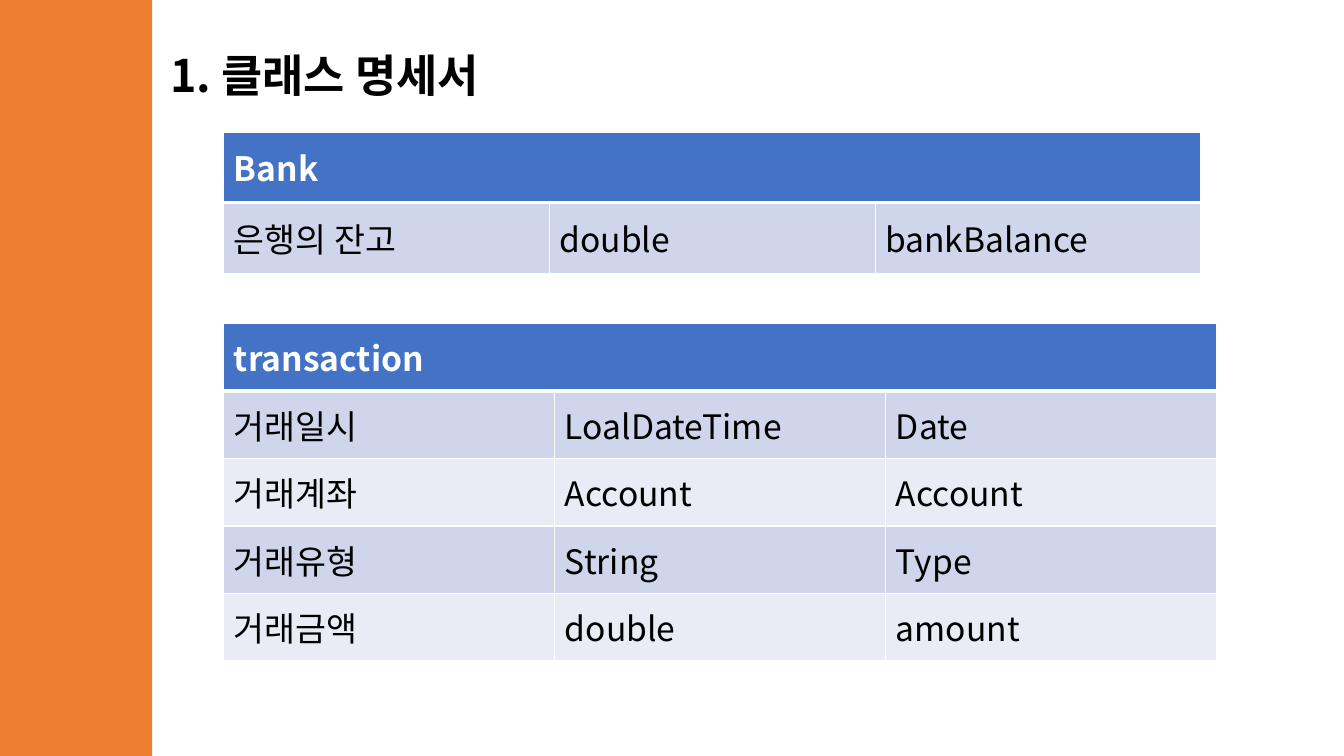
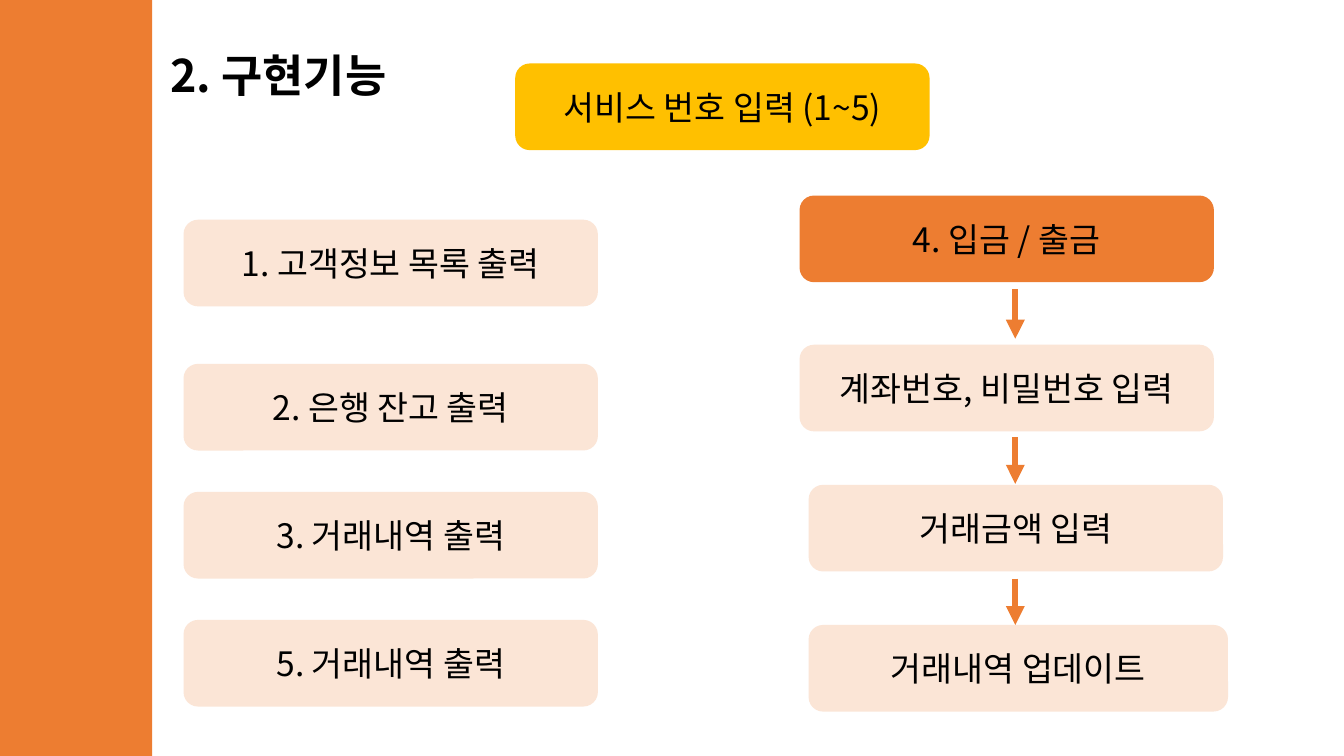
import pptx
import pptx.dml.color
import pptx.enum.shapes
import pptx.enum.text
import pptx.oxml
import pptx.oxml.ns
import pptx.util
from dataclasses import dataclass

Inches = pptx.util.Inches
Pt = pptx.util.Pt
SHAPE = pptx.enum.shapes.MSO_SHAPE


@dataclass(frozen=True)
class Theme:
    font: str = "Noto Sans CJK KR"
    title_size: int = 32
    body_size: int = 24
    black: str = "000000"
    white: str = "FFFFFF"
    accent: str = "ED7D31"
    pale: str = "FBE5D6"
    gold: str = "FFC000"
    header: str = "4472C4"
    row_dark: str = "CFD5EA"
    row_light: str = "E9EBF5"


THEME = Theme()


def rgb(color):
    return pptx.dml.color.RGBColor.from_string(color)


def add_xml(parent, xml):
    parent.append(pptx.oxml.parse_xml(
        xml.replace(" ", f" {pptx.oxml.ns.nsdecls('a')} ", 1)))


def write(tf, text, size=THEME.body_size, color=THEME.black, bold=False,
          align=pptx.enum.text.PP_ALIGN.LEFT):
    p = tf.paragraphs[0]
    p.alignment = align
    r = p.add_run()
    r.text = text
    r.font.size = Pt(size)
    r.font.bold = bold
    r.font.color.rgb = rgb(color)
    r.font.name = THEME.font
    add_xml(r.font._element, f'<a:ea typeface="{THEME.font}"/>')


class Deck:
    def __init__(self):
        self.prs = pptx.Presentation()
        self.prs.slide_width = Inches(13.33)
        self.prs.slide_height = Inches(7.5)
        self.s = None

    def slide(self, title, title_width):
        """Start a slide with the side band and its title."""
        self.s = self.prs.slides.add_slide(self.prs.slide_layouts[6])
        self.shape(SHAPE.RECTANGLE, 0, 0, 1.51, 7.5, THEME.accent)
        sp = self.s.shapes.add_textbox(
            Inches(1.59), Inches(0.42), Inches(title_width), Inches(0.64))
        tf = sp.text_frame
        tf.word_wrap = False
        tf.auto_size = pptx.enum.text.MSO_AUTO_SIZE.SHAPE_TO_FIT_TEXT
        write(tf, title, size=THEME.title_size, bold=True)

    def shape(self, kind, left, top, width, height, fill):
        sp = self.s.shapes.add_shape(
            kind, Inches(left), Inches(top), Inches(width), Inches(height))
        sp.shadow.inherit = False
        sp.fill.solid()
        sp.fill.fore_color.rgb = rgb(fill)
        sp.line.fill.background()
        return sp

    def box(self, text, left, top, fill=THEME.pale, width=4.11):
        sp = self.shape(SHAPE.ROUNDED_RECTANGLE, left, top, width, 0.86, fill)
        tf = sp.text_frame
        tf.word_wrap = True
        tf.vertical_anchor = pptx.enum.text.MSO_ANCHOR.MIDDLE
        write(tf, text, align=pptx.enum.text.PP_ALIGN.CENTER)

    def arrow(self, x, top, bottom):
        line = self.s.shapes.add_connector(
            pptx.enum.shapes.MSO_CONNECTOR.STRAIGHT,
            Inches(x), Inches(top), Inches(x), Inches(bottom))
        line.line.width = Pt(4.5)
        line.line.color.rgb = rgb(THEME.accent)
        add_xml(line.line._get_or_add_ln(), '<a:tailEnd type="triangle"/>')
        add_xml(line._element.spPr, '<a:effectLst />')

    def cell(self, cell, text, fill, header):
        cell.vertical_anchor = pptx.enum.text.MSO_ANCHOR.MIDDLE
        tc_pr = cell._tc.get_or_add_tcPr()
        for side in "LRTB":
            width = Pt(3 if header and side == "B" else 1)
            add_xml(tc_pr, f'<a:ln{side} w="{width}"><a:solidFill>'
                           f'<a:srgbClr val="{THEME.white}"/></a:solidFill></a:ln{side}>')
        cell.fill.solid()
        cell.fill.fore_color.rgb = rgb(fill)
        if text:
            write(cell.text_frame, text, bold=header,
                  color=THEME.white if header else THEME.black)

    def table(self, name, fields, top, width, row_height):
        """Draw a class table: a merged name row, then one row a field."""
        rows = [(name, "", ""), *fields]
        table = self.s.shapes.add_table(
            len(rows), 3, Inches(2.22), Inches(top),
            Inches(width), Inches(row_height * len(rows))).table
        for i, row in enumerate(rows):
            stripe = THEME.row_dark if i % 2 else THEME.row_light
            for j, text in enumerate(row):
                self.cell(table.cell(i, j), text,
                          stripe if i else THEME.header, header=i == 0)
        table.cell(0, 0).merge(table.cell(0, 2))


def main():
    deck = Deck()

    # Class specification
    deck.slide("1. 클래스 명세서", 3.59)
    deck.table("Bank", [("은행의 잔고", "double", "bankBalance")], 1.31, 9.69, 0.7)
    deck.table("transaction", [
        ("거래일시", "LoalDateTime", "Date"),
        ("거래계좌", "Account", "Account"),
        ("거래유형", "String", "Type"),
        ("거래금액", "double", "amount"),
    ], 3.21, 9.85, 0.67)

    # Features: service menu
    deck.slide("2. 구현기능", 2.53)
    deck.box("서비스 번호 입력 (1~5)", 5.11, 0.63, THEME.gold)
    for text, top in [("1. 고객정보 목록 출력", 2.18), ("2. 은행 잔고 출력", 3.61),
                      ("3. 거래내역 출력", 4.88), ("5. 거래내역 출력", 6.15)]:
        deck.box(text, 1.82, top)

    # Deposit and withdrawal flow
    deck.box("4. 입금 / 출금", 7.93, 1.94, THEME.accent)
    deck.box("계좌번호, 비밀번호 입력", 7.93, 3.42)
    deck.box("거래금액 입력", 8.02, 4.81)
    deck.box("거래내역 업데이트", 8.02, 6.2, width=4.16)
    for top, bottom in [(2.87, 3.36), (4.34, 4.8), (5.74, 6.2)]:
        deck.arrow(10.07, top, bottom)

    deck.prs.save("out.pptx")


if __name__ == "__main__":
    main()
